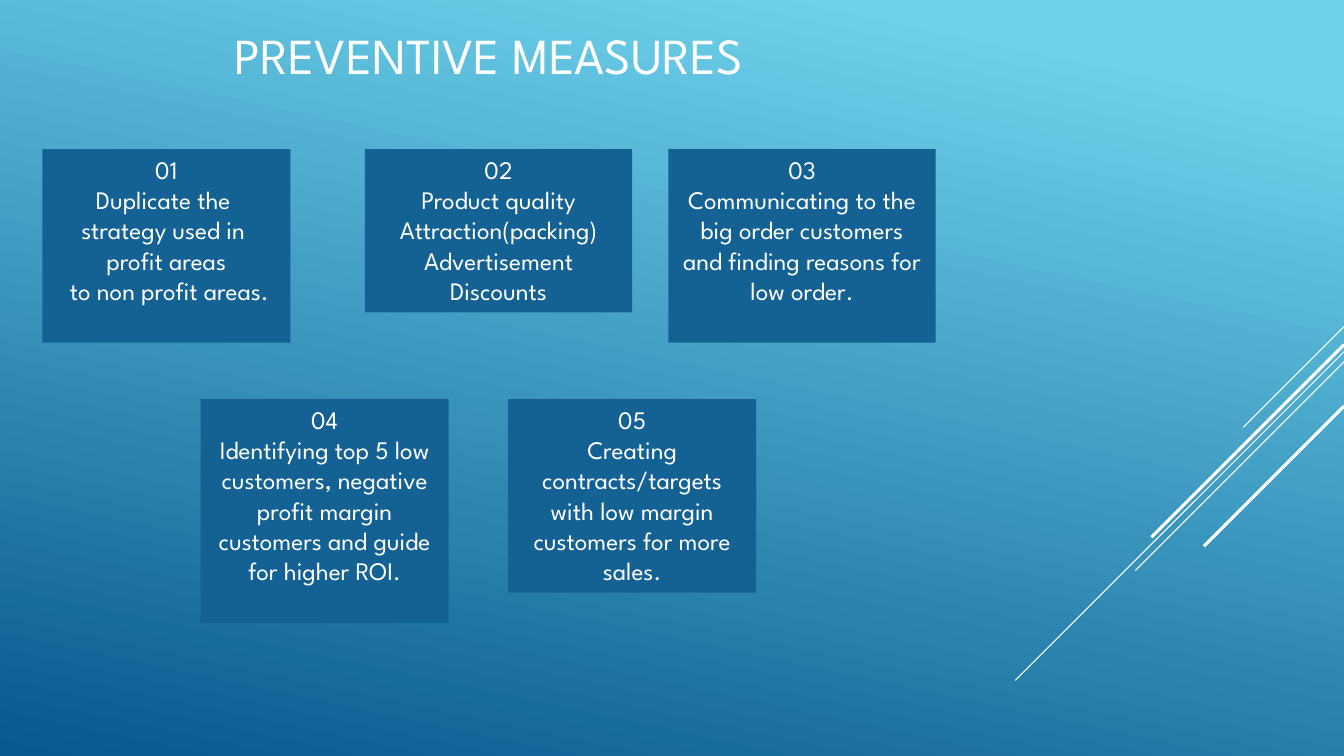
"""Build the Preventive Measures slide."""
from dataclasses import dataclass

from lxml.etree import SubElement
from pptx import Presentation
from pptx.dml.color import RGBColor
from pptx.enum.shapes import MSO_CONNECTOR, MSO_SHAPE
from pptx.enum.text import MSO_ANCHOR, MSO_AUTO_SIZE, PP_ALIGN
from pptx.oxml.ns import qn
from pptx.util import Inches, Pt


@dataclass(frozen=True)
class Theme:
    font: str = "League Spartan"
    title_size: int = 36
    body_size: int = 18
    white: RGBColor = RGBColor(0xFF, 0xFF, 0xFF)
    box: RGBColor = RGBColor(0x14, 0x61, 0x94)
    sky: RGBColor = RGBColor(0x6E, 0xD2, 0xEB)
    sea: RGBColor = RGBColor(0x06, 0x58, 0x8E)


THEME = Theme()
SLIDE_WIDTH, SLIDE_HEIGHT = 13.33, 7.5
TITLE = "PREVENTIVE MEASURES"
ROW_TOPS = (1.48, 3.96)
WIDE, NARROW = 2.65, 2.46

# fields: row, left, width, height, paragraphs
MEASURES = [
    (0, 0.42, NARROW, 1.92, ["Duplicate the ", "strategy used in ", "profit areas", " to non profit areas."]),
    (0, 3.62, WIDE, 1.62, ["Product quality", "Attraction(packing)", "Advertisement", "Discounts"]),
    (0, 6.63, WIDE, 1.92, ["Communicating to the big order customers and finding reasons for low order."]),
    (1, 1.99, NARROW, 2.22, ["Identifying top 5 low customers, negative profit margin customers and guide for higher ROI."]),
    (1, 5.04, NARROW, 1.92, ["Creating contracts/targets with low margin customers for more sales."]),
]

# fields: top at the right edge, horizontal and vertical reach, weight
DIAGONALS = [(3.24, 1.0, 0.75), (3.49, 3.26, 0.75), (3.59, 2.07, 0.75), (3.42, 1.91, 2.25), (4.03, 1.39, 2.25)]


def write_text(shape, lines, size, anchor):
    text_frame = shape.text_frame
    text_frame.text = "\n".join(lines)
    text_frame.word_wrap = True
    text_frame.vertical_anchor = anchor
    for paragraph in text_frame.paragraphs:
        paragraph.alignment = PP_ALIGN.CENTER
        for run in paragraph.runs:
            run.font.name = THEME.font
            run.font.size = Pt(size)
            run.font.color.rgb = THEME.white


def paint_background(slide):
    fill = slide.background.fill
    fill.gradient()
    fill.gradient_angle = 360 - 102
    for stop, position, color in zip(fill.gradient_stops, (0.1, 1), (THEME.sky, THEME.sea)):
        stop.position = position
        stop.color.rgb = color


def add_diagonal(slide, top, reach, weight):
    line = slide.shapes.add_connector(
        MSO_CONNECTOR.STRAIGHT, Inches(SLIDE_WIDTH), Inches(top),
        Inches(SLIDE_WIDTH - reach), Inches(top + reach))
    line.line.color.rgb = THEME.white
    line.line.width = Pt(weight)
    SubElement(line._element.spPr, qn("a:effectLst"))


def add_measure(slide, number, row, left, width, height, lines):
    box = slide.shapes.add_shape(
        MSO_SHAPE.RECTANGLE, Inches(left), Inches(ROW_TOPS[row]), Inches(width), Inches(height))
    box.shadow.inherit = False
    box.fill.solid()
    box.fill.fore_color.rgb = THEME.box
    box.line.fill.background()
    write_text(box, [f"{number:02d}", *lines], THEME.body_size, MSO_ANCHOR.TOP)
    box.text_frame.auto_size = MSO_AUTO_SIZE.SHAPE_TO_FIT_TEXT


presentation = Presentation()
presentation.slide_width = Inches(SLIDE_WIDTH)
presentation.slide_height = Inches(SLIDE_HEIGHT)
slide = presentation.slides.add_slide(presentation.slide_layouts.get_by_name("Title Only"))
paint_background(slide)

for diagonal in DIAGONALS:
    add_diagonal(slide, *diagonal)

title = slide.shapes.title
title.left, title.top, title.width, title.height = map(Inches, (0.42, 0, 8.86, 1.08))
write_text(title, [TITLE], THEME.title_size, MSO_ANCHOR.MIDDLE)

for number, measure in enumerate(MEASURES, start=1):
    add_measure(slide, number, *measure)

presentation.save("out.pptx")
